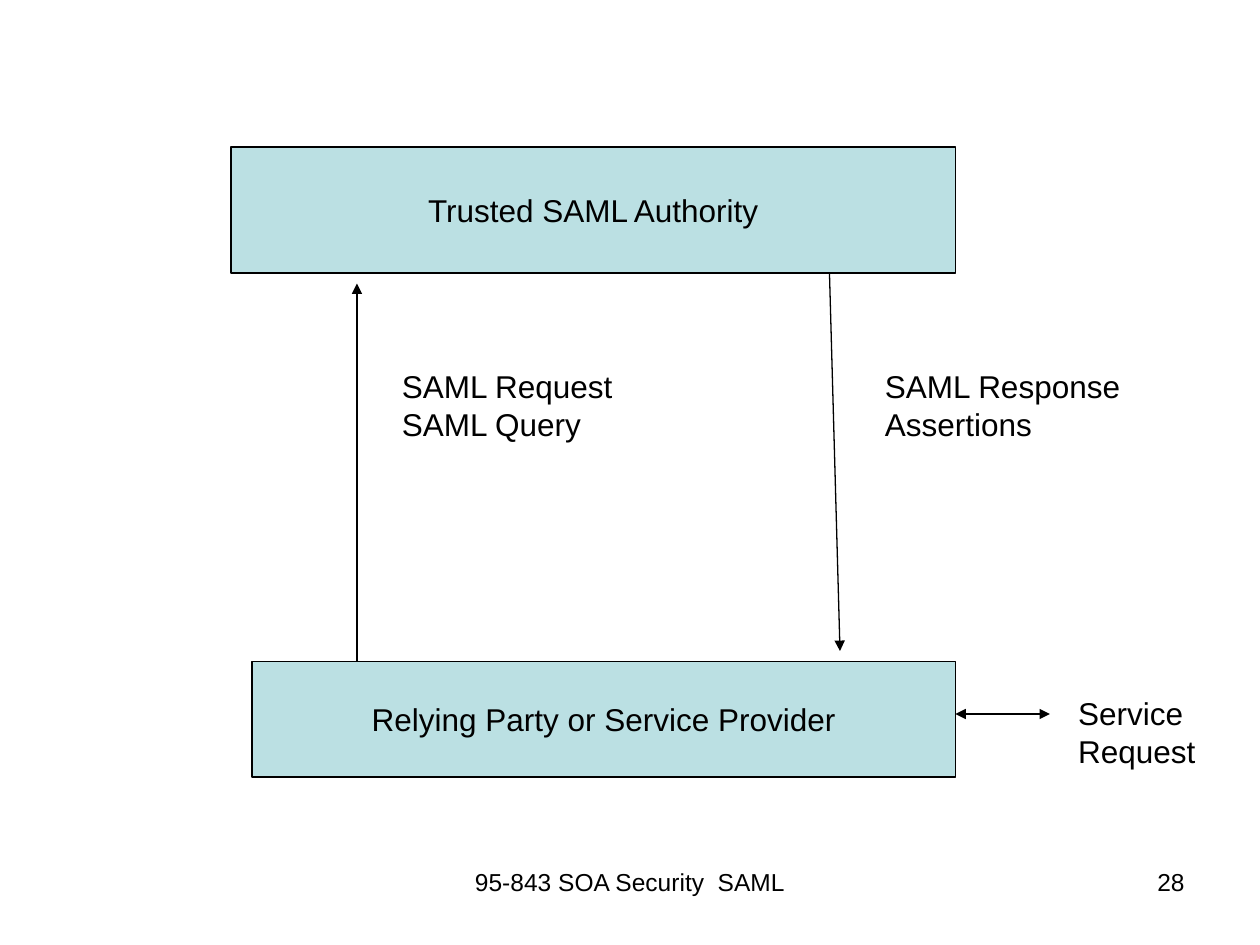
import pptx
import pptx.util
import pptx.dml.color
import pptx.enum.shapes
import pptx.enum.text
import pptx.oxml.ns
from dataclasses import dataclass
from lxml import etree

ALIGN = pptx.enum.text.PP_ALIGN
ANCHOR = pptx.enum.text.MSO_ANCHOR
FIT = pptx.enum.text.MSO_AUTO_SIZE


@dataclass(frozen=True)
class Theme:
    font: str = "Arial"
    ink: str = "000000"
    party_fill: str = "BBE0E3"
    body_size: int = 18
    footer_size: int = 14
    line_width: float = 0.75


def rgb(code):
    return pptx.dml.color.RGBColor.from_string(code)


def write(frame, text, *, font, size, color, align=ALIGN.LEFT,
          anchor=ANCHOR.TOP, wrap=False, fit=FIT.NONE):
    """Fill a text frame, one paragraph for each line of text."""
    frame.text = text
    frame.word_wrap = wrap
    frame.auto_size = fit
    frame.vertical_anchor = anchor
    for paragraph in frame.paragraphs:
        paragraph.alignment = align
        paragraph.font.name = font
        paragraph.font.size = pptx.util.Pt(size)
        paragraph.font.color.rgb = rgb(color)


class Diagram:
    """Holds the theme and current slide; lengths are cells of 1/12 inch."""

    COLUMNS, ROWS = 120, 90

    def __init__(self, deck, theme):
        self.theme = theme
        self.column = deck.slide_width / self.COLUMNS
        self.row = deck.slide_height / self.ROWS
        self.slide = deck.slides.add_slide(deck.slide_layouts[6])

    def place(self, *cells):
        """Turn alternating columns and rows into lengths."""
        return [round(cell * (self.row if i % 2 else self.column))
                for i, cell in enumerate(cells)]

    def text_style(self, size):
        return dict(font=self.theme.font, size=size, color=self.theme.ink)

    def stroke(self, line):
        line.color.rgb = rgb(self.theme.ink)
        line.width = pptx.util.Pt(self.theme.line_width)

    def party(self, text, *area):
        box = self.slide.shapes.add_shape(
            pptx.enum.shapes.MSO_SHAPE.RECTANGLE, *self.place(*area))
        box.shadow.inherit = False
        box.fill.solid()
        box.fill.fore_color.rgb = rgb(self.theme.party_fill)
        self.stroke(box.line)
        write(box.text_frame, text, align=ALIGN.CENTER, anchor=ANCHOR.MIDDLE,
              **self.text_style(self.theme.body_size))

    def label(self, text, *area):
        box = self.slide.shapes.add_textbox(*self.place(*area))
        write(box.text_frame, text, fit=FIT.SHAPE_TO_FIT_TEXT,
              **self.text_style(self.theme.body_size))

    def footer(self, text, left, width, align):
        box = self.slide.shapes.add_textbox(*self.place(left, 82, width, 6.25))
        write(box.text_frame, text, align=align, wrap=True,
              **self.text_style(self.theme.footer_size))

    def arrow(self, *ends, heads=("tailEnd",)):
        message = self.slide.shapes.add_connector(
            pptx.enum.shapes.MSO_CONNECTOR.STRAIGHT, *self.place(*ends))
        self.stroke(message.line)
        outline = message.line._get_or_add_ln()
        for head in heads:
            etree.SubElement(outline, pptx.oxml.ns.qn(f"a:{head}"), type="triangle")
        etree.SubElement(message._element.spPr, pptx.oxml.ns.qn("a:effectLst"))


def main():
    deck = pptx.Presentation()
    deck.slide_width = pptx.util.Inches(10)
    deck.slide_height = pptx.util.Inches(7.5)
    diagram = Diagram(deck, Theme())

    # Footer and slide number
    diagram.footer("95-843 SOA Security  SAML", 41, 38, ALIGN.CENTER)
    diagram.footer("28", 86, 28, ALIGN.RIGHT)

    # The two parties
    diagram.party("Trusted SAML Authority", 22, 14, 69, 12)
    diagram.party("Relying Party or Service Provider", 24, 63, 67, 11)

    # Request up, response down
    diagram.arrow(34, 63, 34, 27)
    diagram.arrow(79, 26, 80, 62)
    diagram.label("SAML Request\nSAML Query", 37.1, 34.4, 22.6, 8.4)
    diagram.label("SAML Response\nAssertions", 83.1, 34.4, 24.8, 8.4)

    # Exchange with the service client
    diagram.arrow(91, 68, 100, 68, heads=("headEnd", "tailEnd"))
    diagram.label("Service\nRequest", 101.5, 65.5, 13.6, 8.4)

    deck.save("out.pptx")


if __name__ == "__main__":
    main()
